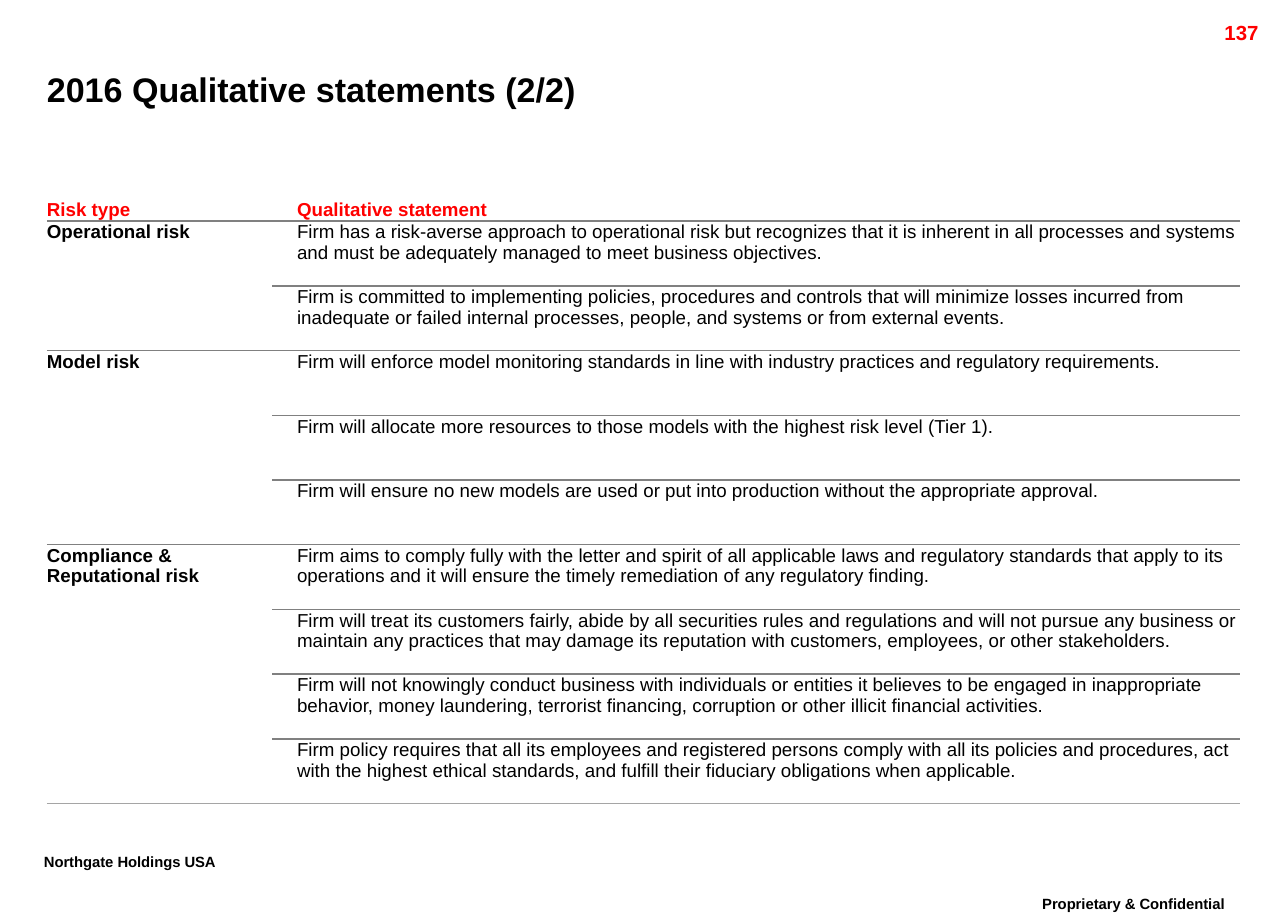
from lxml.etree import SubElement
from pptx import Presentation
from pptx.dml.color import RGBColor as RGB
from pptx.enum.text import MSO_ANCHOR as Anchor, PP_ALIGN as Align
from pptx.oxml.ns import qn
from pptx.util import Cm, Pt

# Content
TITLE = "2016 Qualitative statements (2/2)"
HEADINGS = ("Risk type", "Qualitative statement")
RISKS = [
    ("Operational risk", [
        "Firm has a risk-averse approach to operational risk but recognizes that it is inherent in all processes and systems and must be adequately managed to meet business objectives.",
        "Firm is committed to implementing policies, procedures and controls that will minimize losses incurred from inadequate or failed internal processes, people, and systems or from external events.",
    ]),
    ("Model risk", [
        "Firm will enforce model monitoring standards in line with industry practices and regulatory requirements.",
        "Firm will allocate more resources to those models with the highest risk level (Tier 1).",
        "Firm will ensure no new models are used or put into production without the appropriate approval.",
    ]),
    ("Compliance & Reputational risk", [
        "Firm aims to comply fully with the letter and spirit of all applicable laws and regulatory standards that apply to its operations and it will ensure the timely remediation of any regulatory finding.",
        "Firm will treat its customers fairly, abide by all securities rules and regulations and will not pursue any business or maintain any practices that may damage its reputation with customers, employees, or other stakeholders.",
        "Firm will not knowingly conduct business with individuals or entities it believes to be engaged in inappropriate behavior, money laundering, terrorist financing, corruption or other illicit financial activities.",
        "Firm policy requires that all its employees and registered persons comply with all its policies and procedures, act with the highest ethical standards, and fulfill their fiduciary obligations when applicable.",
    ]),
]
COLORS = {"text": "000000", "accent": "FF0000", "rule": "808080",
          "end_rule": "A5A5A5", "paper": "FFFFFF"}

# Text, box in cm, inset in cm, alignment, anchor, size, colour, line spacing, baseline
LABELS = [
    ("Proprietary & Confidential", (20.7, 18.42, 5.54, 0.81), (0.25, 0.13),
     Align.CENTER, Anchor.TOP, 15, "text", 0.86, "30000"),
    ("Northgate Holdings USA", (0.66, 17.55, 4.85, 0.81), (0.25, 0.13),
     Align.LEFT, Anchor.TOP, 15, "text", 0.86, "30000"),
    ("137", (23.77, 0.28, 2.54, 0.61), (0.25, 0.13),
     Align.RIGHT, Anchor.TOP, 12, "accent", 1.0, None),
    (TITLE, (0.97, 1.24, 24.08, 1.22), (0, 0),
     Align.LEFT, Anchor.MIDDLE, 20, "text", 1.0, None),
]

# Table geometry in cm
TABLE_LEFT, TABLE_TOP = 0.97, 4.09
COLUMN_WIDTHS = (4.67, 20.04)
HEADING_HEIGHT, STATEMENT_HEIGHT = 0.46, 1.34
INDENTS = (0, 0.51)


def apply(target, **values):
    for name, value in values.items():
        setattr(target, name, value)


def write(frame, words, size, color, bold=True, align=Align.LEFT, spacing=0.98):
    paragraph = frame.paragraphs[0]
    apply(paragraph, alignment=align, line_spacing=spacing)
    run = paragraph.add_run()
    run.text = words
    apply(run.font, name="Arial", size=Pt(size), bold=bold)
    run.font.color.rgb = RGB.from_string(COLORS[color])
    return run


def add_rule(cell, side, color="rule", width=1):
    line = SubElement(cell._tc.get_or_add_tcPr(), qn(f"a:{side}"), w=str(Pt(width)))
    fill = SubElement(line, qn("a:solidFill"))
    SubElement(fill, qn("a:srgbClr"), val=COLORS[color])


def fill_cell(cell, words, column, color="text", bold=True, anchor=Anchor.TOP):
    apply(cell, margin_left=Cm(INDENTS[column]), margin_right=Cm(0.03),
          margin_top=Cm(0.03), margin_bottom=0, vertical_anchor=anchor)
    write(cell.text_frame, words, 11, color, bold)


def paint(cell):
    cell.fill.solid()
    cell.fill.fore_color.rgb = RGB.from_string(COLORS["paper"])


deck = Presentation()
apply(deck, slide_width=Cm(26.67), slide_height=Cm(19.05))
slide = deck.slides.add_slide(deck.slide_layouts[6])

# Title, page number and footers
for words, box, (side, edge), align, anchor, size, color, spacing, baseline in LABELS:
    frame = slide.shapes.add_textbox(*map(Cm, box)).text_frame
    apply(frame, word_wrap=True, vertical_anchor=anchor,
          margin_left=Cm(side), margin_right=Cm(side),
          margin_top=Cm(edge), margin_bottom=Cm(edge))
    run = write(frame, words, size, color, align=align, spacing=spacing)
    if baseline:
        run.font._element.set("baseline", baseline)

# Table frame
statement_count = sum(len(statements) for _, statements in RISKS)
heights = [HEADING_HEIGHT] + [STATEMENT_HEIGHT] * statement_count
table = slide.shapes.add_table(
    len(heights), 2, Cm(TABLE_LEFT), Cm(TABLE_TOP),
    Cm(sum(COLUMN_WIDTHS)), Cm(sum(heights))).table
apply(table, first_row=False, horz_banding=False)
table._tbl.tblPr.find(qn("a:tableStyleId")).text = "{2D5ABB26-0587-4C30-8999-92F81FD0307C}"
for column, width in zip(table.columns, COLUMN_WIDTHS):
    column.width = Cm(width)
for row, height in zip(table.rows, heights):
    row.height = Cm(height)

# Headings
for column, heading in enumerate(HEADINGS):
    cell = table.cell(0, column)
    fill_cell(cell, heading, column, "accent", anchor=Anchor.MIDDLE)
    add_rule(cell, "lnB")

# Risk types, each spanning its statements
first = 1
for risk, statements in RISKS:
    last = first + len(statements) - 1
    risk_cell = table.cell(first, 0)
    risk_cell.merge(table.cell(last, 0))
    fill_cell(risk_cell, risk, 0)
    add_rule(risk_cell, "lnT")
    for row, statement in enumerate(statements, first):
        cell = table.cell(row, 1)
        fill_cell(cell, statement, 1, bold=False)
        add_rule(cell, "lnT")
    first = last + 1

# Closing rule and cell fills
for cell in (risk_cell, table.cell(last, 0), table.cell(last, 1)):
    add_rule(cell, "lnB", "end_rule", 0.75)
for cell in table.iter_cells():
    paint(cell)

deck.save("out.pptx")
